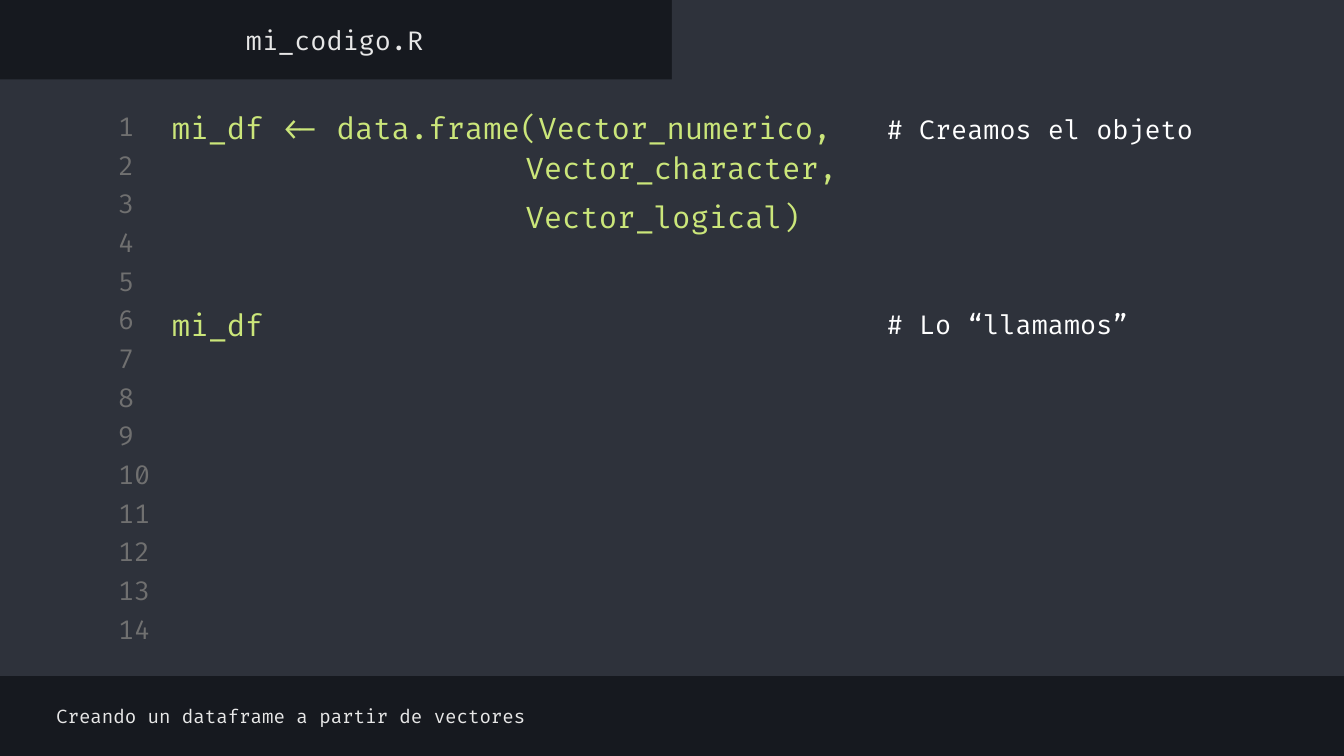
from pptx import Presentation
from pptx import util as u
from pptx.dml.color import RGBColor
from pptx.enum import shapes, text

DARK, PANEL = "16191F", "2E323B"
GREY, LIGHT, WHITE, GREEN = "707070", "E7E7E7", "FFFFFF", "CBE67A"


def paint(color, value):
    color.rgb = RGBColor.from_string(value)


class Editor:
    font = "Fira Code"
    inset = 7.2

    def __init__(self, slide):
        self.slide = slide
        fill = slide.background.fill
        fill.solid()
        paint(fill.fore_color, DARK)

    def letter(self, shape, words, size, color, align=text.PP_ALIGN.LEFT):
        frame = shape.text_frame
        frame.text = words
        frame.word_wrap = True
        frame.auto_size = text.MSO_AUTO_SIZE.NONE
        frame.vertical_anchor = text.MSO_ANCHOR.MIDDLE
        frame.margin_left = frame.margin_right = u.Pt(self.inset)
        frame.margin_top = frame.margin_bottom = u.Pt(self.inset)
        line = frame.paragraphs[0]
        line.alignment = align
        line.font.name = self.font
        line.font.size = u.Pt(size)
        paint(line.font.color, color)

    def title(self, words, *box):
        shape = self.slide.shapes.title
        shape.left, shape.top, shape.width, shape.height = map(u.Pt, box)
        self.letter(shape, words, 14, LIGHT, text.PP_ALIGN.CENTER)

    def panel(self, *box):
        shape = self.slide.shapes.add_shape(
            shapes.MSO_SHAPE.RECTANGLE, *map(u.Pt, box))
        shape.shadow.inherit = False
        shape.fill.solid()
        paint(shape.fill.fore_color, PANEL)
        shape.line.fill.background()
        return shape

    def label(self, words, size, color, *box):
        shape = self.slide.shapes.add_textbox(*map(u.Pt, box))
        self.letter(shape, words, size, color)

    def code(self, words, left, top, width=548.6):
        self.label(words, 16, GREEN, left, top, width, 23)

    def note(self, words, top):
        shape = self.panel(468, top, 203.8, 28.8)
        self.letter(shape, words, 14, WHITE)


def main():
    deck = Presentation()
    deck.slide_width, deck.slide_height = u.Pt(720), u.Pt(405)
    page = Editor(deck.slides.add_slide(deck.slide_layouts[5]))

    # Editor window and file tab
    page.panel(0, 42.5, 720, 319.7)
    page.panel(360, 0, 360, 46.8)
    page.title("mi_codigo.R", -0.7, 7.2, 360, 28.1)

    # Line numbers
    for row in range(14):
        page.label(str(row + 1), 14, GREY, 56.2, 58.8 + 20.73 * row, 33.8, 17.3)

    # Code
    page.code("mi_df <- data.frame(Vector_numerico,", 85, 56.9, 645.8)
    page.code("Vector_character,", 274.5, 78.5)
    page.code("Vector_logical)", 274.5, 104.5)
    page.code("mi_df", 85, 162.3)

    # Comments
    page.note("# Creamos el objeto", 55)
    page.note("# Lo “llamamos”", 159.4)

    # Footer
    page.label("Creando un dataframe a partir de vectores", 10, LIGHT,
               23, 369.6, 383, 28.1)

    deck.save("out.pptx")


if __name__ == "__main__":
    main()
